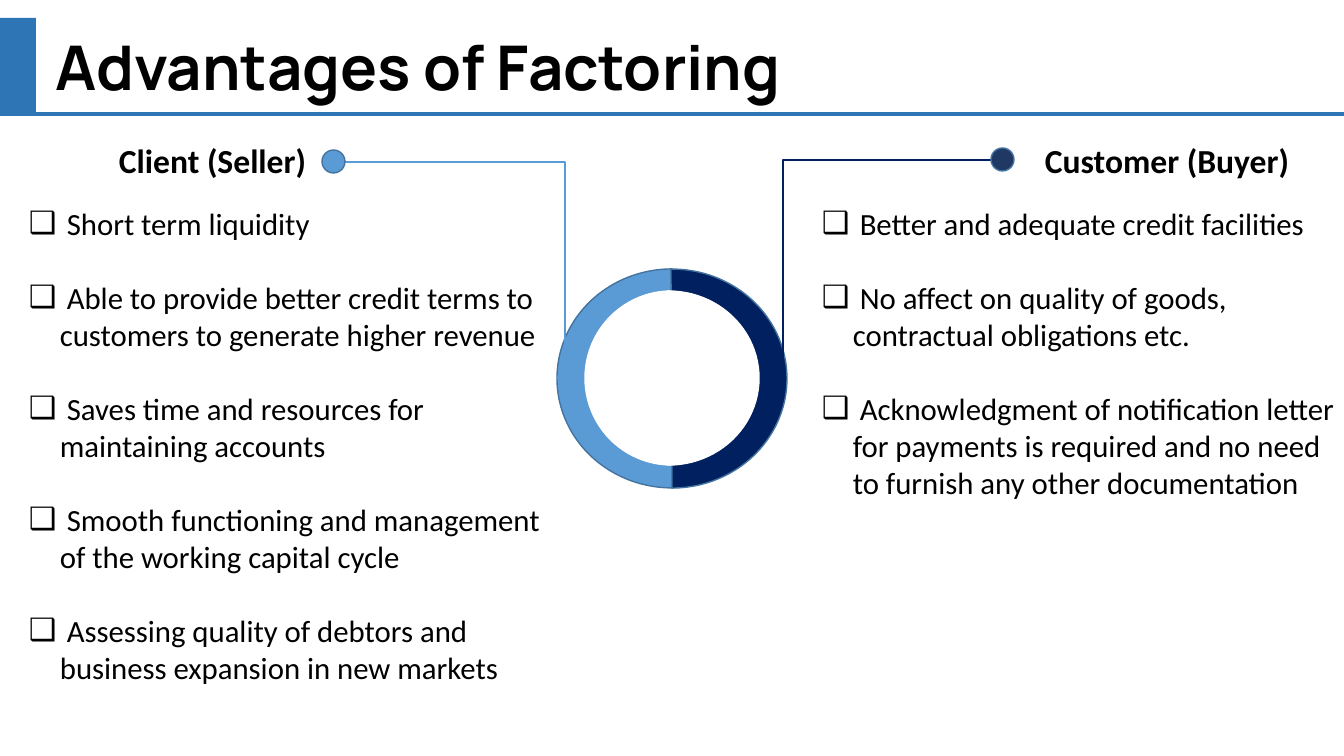
import pptx
import pptx.util
import pptx.dml.color
import pptx.enum.shapes
import pptx.enum.text
import pptx.oxml
import pptx.oxml.ns
import lxml.etree

PX = 914400 / 100.8
SLIDE_W, SLIDE_H = 1344, 756
COLORS = {
    "band": "2E75B6",
    "client": "5B9BD5",
    "customer": "002060",
    "customer_dot": "203864",
    "outline": "43739E",
    "white": "FFFFFF",
    "text": "000000",
}
SHAPE = pptx.enum.shapes.MSO_SHAPE
CONNECTOR = pptx.enum.shapes.MSO_CONNECTOR

CLIENT_POINTS = [
    "Short term liquidity",
    "Able to provide better credit terms to customers to generate higher revenue",
    "Saves time and resources for maintaining accounts",
    "Smooth functioning and management of the working capital cycle",
    "Assessing quality of debtors and business expansion in new markets",
]
CUSTOMER_POINTS = [
    "Better and adequate credit facilities",
    "No affect on quality of goods, contractual obligations etc.",
    "Acknowledgment of notification letter for payments is required "
    "and no need to furnish any other documentation",
]


def emu(px):
    return pptx.util.Emu(round(px * PX))


def rgb(name):
    return pptx.dml.color.RGBColor.from_string(COLORS[name])


def add_filled(shapes, preset, box, fill, line=None):
    shape = shapes.add_shape(preset, *map(emu, box))
    shape.shadow.inherit = False
    shape.fill.solid()
    shape.fill.fore_color.rgb = rgb(fill)
    if line:
        shape.line.color.rgb = rgb(line)
        shape.line.width = pptx.util.Pt(1)
    else:
        shape.line.fill.background()
    return shape


def add_line(slide, kind, start, end, color, width):
    line = slide.shapes.add_connector(kind, *map(emu, (*start, *end)))
    line.line.color.rgb = rgb(color)
    line.line.width = pptx.util.Pt(width)
    lxml.etree.SubElement(line._element.spPr, pptx.oxml.ns.qn("a:effectLst"))
    return line


def add_run(paragraph, text, size, font="Calibri", bold=False):
    run = paragraph.add_run()
    run.text = text
    run.font.size = pptx.util.Pt(size)
    run.font.name = font
    run.font.bold = bold
    run.font.color.rgb = rgb("text")


def add_text_frame(slide, box):
    frame = slide.shapes.add_textbox(*map(emu, box)).text_frame
    frame.word_wrap = True
    return frame


def add_header(slide, box):
    """Title with a side block and a rule along the bottom."""
    left, top, width, height = box
    add_filled(slide.shapes, SHAPE.RECTANGLE, (left, top, 36, height), "band")
    bottom = top + height + 1
    add_line(slide, CONNECTOR.STRAIGHT, (left, bottom), (left + width, bottom), "band", 2.25)

    title = slide.shapes.title
    title.left, title.top = emu(left + 45), emu(top + 6)
    title.width, title.height = emu(1136), emu(85)
    frame = title.text_frame
    frame.auto_size = pptx.enum.text.MSO_AUTO_SIZE.NONE
    frame.vertical_anchor = pptx.enum.text.MSO_ANCHOR.TOP
    frame.paragraphs[0].alignment = pptx.enum.text.PP_ALIGN.LEFT
    add_run(frame.paragraphs[0], "Advantages of Factoring", 44, "Manrope", True)


def add_ring(slide, box):
    """Two half discs, each with a white half disc on top."""
    left, top, width, height = box
    ring = slide.shapes.add_group_shape()
    inner_top, inner_height = top + 22, height - 45
    halves = [
        (box, "client", "outline", 0),
        ((left + 28, inner_top, 173, inner_height), "white", "white", 0),
        (box, "customer", "outline", 180),
        ((left + 21, inner_top, 181, inner_height), "white", "white", 180),
    ]
    for half_box, fill, line, rotation in halves:
        half = add_filled(ring.shapes, SHAPE.PIE, half_box, fill, line)
        half.adjustments[0], half.adjustments[1] = 53.66, 162
        half.rotation = rotation


def add_link(slide, dot_center, ring_point, bend, line_color, dot_color):
    """Elbow line from a dot to the ring; bend is the share of its width."""
    link = add_line(slide, CONNECTOR.ELBOW, dot_center, ring_point, line_color, 1.5)
    guides = link._element.spPr.find(pptx.oxml.ns.qn("a:prstGeom")).get_or_add_avLst()
    guide = lxml.etree.SubElement(guides, pptx.oxml.ns.qn("a:gd"))
    guide.set("name", "adj1")
    guide.set("fmla", f"val {round(bend * 100000)}")
    x, y = dot_center
    add_filled(slide.shapes, SHAPE.OVAL, (x - 11, y - 12, 23, 23), dot_color, "outline")


def add_column(slide, box, heading_offset, heading, points):
    """Bold heading over a list with square bullets."""
    left, top, width, height = box
    heading_box = (left + heading_offset, top, 308, 50)
    add_run(add_text_frame(slide, heading_box).paragraphs[0], heading, 24, bold=True)

    frame = add_text_frame(slide, (left, top + 65, width, height - 65))
    frame.margin_right = emu(4)
    for index, point in enumerate(points):
        paragraph = frame.add_paragraph() if index else frame.paragraphs[0]
        if index:
            paragraph.space_before = pptx.util.Pt(26.4)
        props = paragraph._p.get_or_add_pPr()
        props.set("marL", str(emu(31)))
        props.set("indent", str(emu(-31)))
        bullet_font = lxml.etree.SubElement(props, pptx.oxml.ns.qn("a:buFont"))
        bullet_font.set("typeface", "Calibri")
        bullet = lxml.etree.SubElement(props, pptx.oxml.ns.qn("a:buChar"))
        bullet.set("char", "❑")
        add_run(paragraph, " " + point, 22)


def main():
    deck = pptx.Presentation()
    deck.slide_width, deck.slide_height = emu(SLIDE_W), emu(SLIDE_H)
    slide = deck.slides.add_slide(deck.slide_layouts[5])

    add_header(slide, (0, 18, SLIDE_W, 95))
    add_ring(slide, (557, 269, 230, 219))
    add_link(slide, (333, 162), (557, 378), 1.035, "client", "client")
    add_link(slide, (1002, 160), (783, 381), 1, "customer", "customer_dot")
    add_column(slide, (19, 135, 532, 560), 90, "Client (Seller)", CLIENT_POINTS)
    add_column(slide, (812, 135, 532, 411), 223, "Customer (Buyer)", CUSTOMER_POINTS)

    deck.save("out.pptx")


if __name__ == "__main__":
    main()
